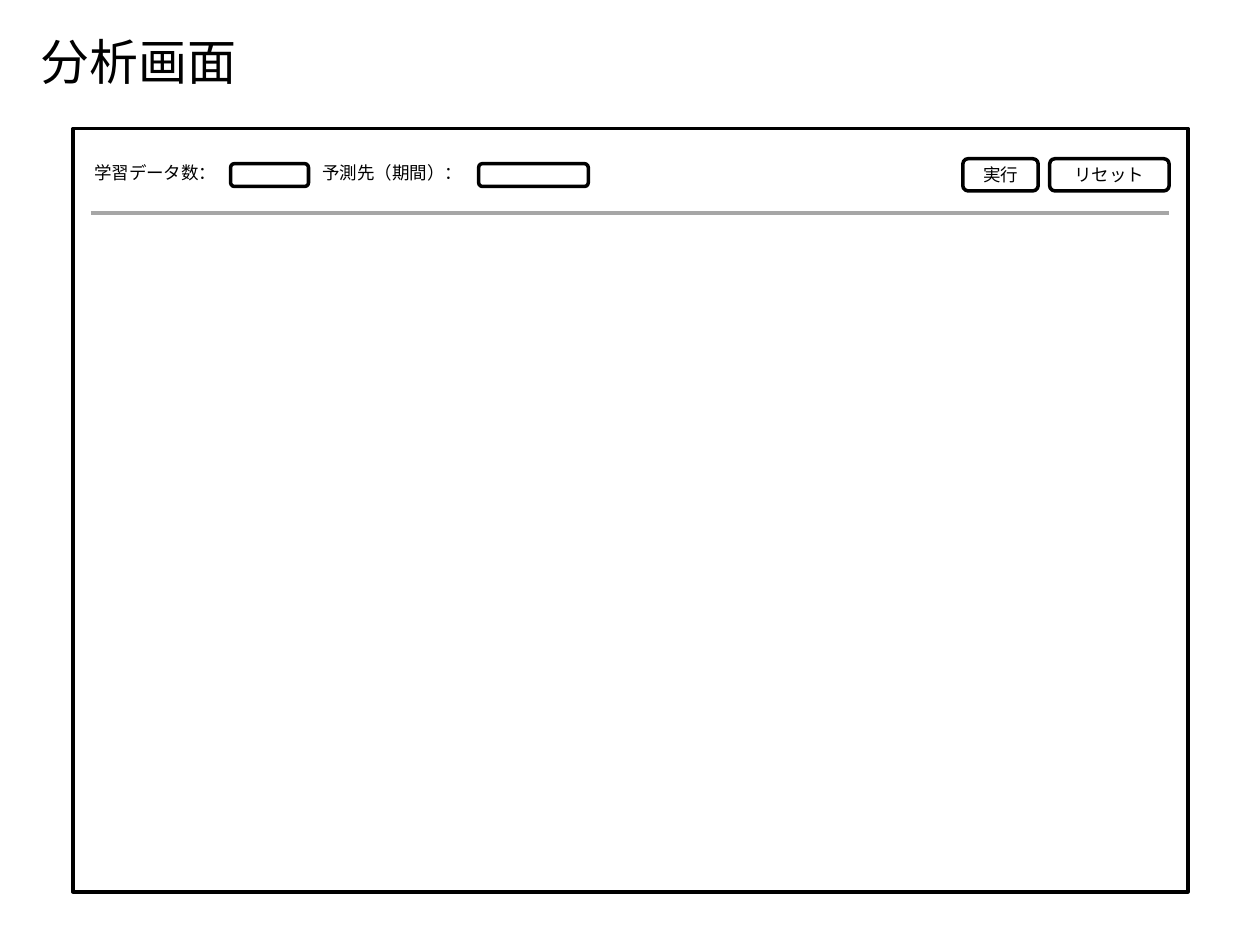
from dataclasses import dataclass

from lxml import etree
from pptx import Presentation
from pptx.dml.color import RGBColor
from pptx.enum.shapes import MSO_CONNECTOR, MSO_SHAPE
from pptx.enum.text import MSO_ANCHOR, PP_ALIGN
from pptx.oxml.ns import qn
from pptx.util import Cm, Pt

RECT, ROUNDED = MSO_SHAPE.RECTANGLE, MSO_SHAPE.ROUNDED_RECTANGLE
STRAIGHT = MSO_CONNECTOR.STRAIGHT
LEFT, CENTER = PP_ALIGN.LEFT, PP_ALIGN.CENTER
TOP, MIDDLE = MSO_ANCHOR.TOP, MSO_ANCHOR.MIDDLE


@dataclass(frozen=True)
class Theme:
    font: str = "Noto Sans CJK JP"
    ink: RGBColor = RGBColor(0x00, 0x00, 0x00)
    rule: RGBColor = RGBColor(0xA6, 0xA6, 0xA6)
    title: Pt = Pt(28)
    body: Pt = Pt(10)
    line: Pt = Pt(2)


THEME = Theme()


def write(sp, text, size, align=LEFT, anchor=TOP, wrap=False):
    tf = sp.text_frame
    tf.text = text
    tf.word_wrap = wrap
    tf.vertical_anchor = anchor
    p = tf.paragraphs[0]
    p.alignment = align
    p.font.size = size
    p.font.color.rgb = THEME.ink
    p.font.name = THEME.font
    latin = p._p.pPr.find(qn("a:defRPr")).find(qn("a:latin"))
    ea = etree.Element(qn("a:ea"), typeface=THEME.font)
    latin.addnext(ea)


def add_title(s, text, x, y, w, h):
    sp = s.shapes.title
    sp.left, sp.top, sp.width, sp.height = Cm(x), Cm(y), Cm(w), Cm(h)
    write(sp, text, THEME.title)


def add_box(s, kind, x, y, w, h):
    sp = s.shapes.add_shape(kind, Cm(x), Cm(y), Cm(w), Cm(h))
    sp.shadow.inherit = False
    sp.fill.background()
    sp.line.color.rgb = THEME.ink
    sp.line.width = THEME.line
    return sp


def add_field(s, label, label_x, label_w, box_x, box_w):
    sp = s.shapes.add_textbox(Cm(label_x), Cm(3.15), Cm(label_w), Cm(0.69))
    write(sp, label, THEME.body)
    add_box(s, ROUNDED, box_x, 3.3, box_w, 0.46)


def add_button(s, text, x, w):
    sp = add_box(s, ROUNDED, x, 3.2, w, 0.65)
    write(sp, text, THEME.body, CENTER, MIDDLE, wrap=True)


def add_rule(s, x1, x2, y):
    line = s.shapes.add_connector(STRAIGHT, Cm(x1), Cm(y), Cm(x2), Cm(y))
    line.line.color.rgb = THEME.rule
    line.line.width = THEME.line
    etree.SubElement(line._element.spPr, qn("a:effectLst"))


def main():
    prs = Presentation()
    prs.slide_width, prs.slide_height = Cm(25.4), Cm(19.05)
    s = prs.slides.add_slide(prs.slide_layouts[5])

    add_title(s, "分析画面", 0.56, 0.51, 4.5, 1.45)
    add_box(s, RECT, 1.47, 2.59, 22.48, 15.39)
    add_field(s, "学習データ数：", 1.65, 3, 4.65, 1.57)
    add_field(s, "予測先（期間）：", 6.25, 3.35, 9.65, 2.21)
    add_button(s, "実行", 19.41, 1.52)
    add_button(s, "リセット", 21.16, 2.41)
    add_rule(s, 1.83, 23.57, 4.29)

    prs.save("out.pptx")


if __name__ == "__main__":
    main()
